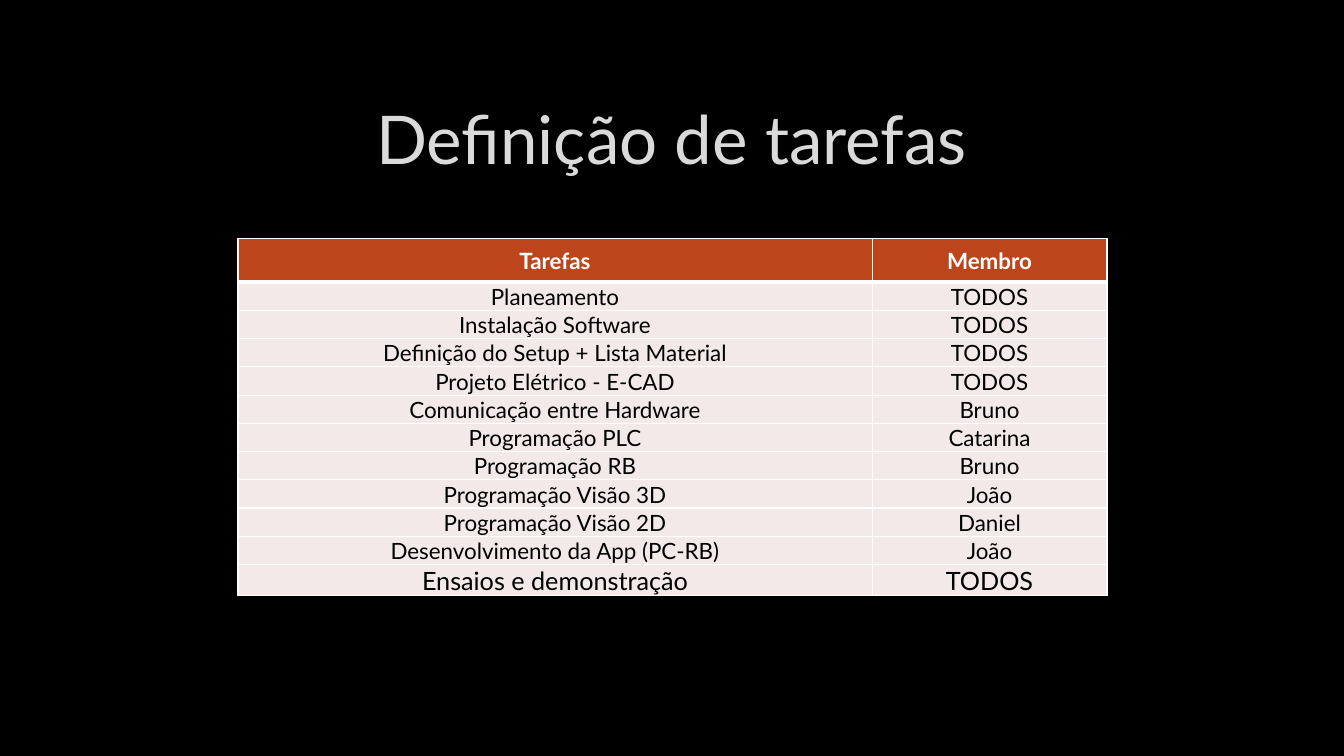
from lxml import etree
from pptx import Presentation
from pptx.dml.color import RGBColor
from pptx.enum import text
from pptx.oxml import ns
from pptx.util import Inches, Pt

FONT = "Lato"
COLORS = {
    "background": "000000",
    "title": "DADADA",
    "header": "BC451B",
    "body": "F3E9E8",
    "white": "FFFFFF",
    "black": "000000",
}
HEADER = ("Tarefas", "Membro")
TASKS = [
    ("Planeamento", "TODOS"),
    ("Instalação Software", "TODOS"),
    ("Definição do Setup + Lista Material", "TODOS"),
    ("Projeto Elétrico - E-CAD", "TODOS"),
    ("Comunicação entre Hardware", "Bruno"),
    ("Programação PLC", "Catarina"),
    ("Programação RB", "Bruno"),
    ("Programação Visão 3D", "João"),
    ("Programação Visão 2D", "Daniel"),
    ("Desenvolvimento da App (PC-RB)", "João"),
    ("Ensaios e demonstração", "TODOS"),
]


def rgb(name):
    return RGBColor.from_string(COLORS[name])


def write(tf, content, size=16, color="black", bold=False):
    p = tf.paragraphs[0]
    p.alignment = text.PP_ALIGN.CENTER
    r = p.add_run()
    r.text = content
    r.font.name = FONT
    r.font.size = Pt(size)
    r.font.bold = bold
    r.font.color.rgb = rgb(color)


def add_title(s, content):
    sp = s.shapes.add_textbox(Inches(1.5), Inches(0.62), Inches(10.32), Inches(1.19))
    tf = sp.text_frame
    tf.word_wrap = True
    tf.vertical_anchor = text.MSO_ANCHOR.BOTTOM
    write(tf, content, size=48, color="title")


def set_borders(cell, **widths):
    tc_pr = cell._tc.get_or_add_tcPr()
    for side in "LRTB":
        width = Pt(widths.get(side, 1))
        ln = etree.SubElement(tc_pr, ns.qn(f"a:ln{side}"), w=str(width))
        fill = etree.SubElement(ln, ns.qn("a:solidFill"))
        etree.SubElement(fill, ns.qn("a:srgbClr"), val=COLORS["white"])


def format_cell(cell, content, fill, borders, **font):
    cell.margin_left = cell.margin_right = cell.margin_top = Inches(0.01)
    cell.margin_bottom = 0
    cell.vertical_anchor = text.MSO_ANCHOR.MIDDLE
    set_borders(cell, **borders)
    cell.fill.solid()
    cell.fill.fore_color.rgb = rgb(fill)
    write(cell.text_frame, content, **font)


def add_task_table(s):
    rows = [HEADER] + TASKS
    last = len(rows) - 1
    table = s.shapes.add_table(
        len(rows), len(HEADER), Inches(2.36), Inches(2.37), Inches(8.62), Inches(3.51)
    ).table
    for column, width in zip(table.columns, (6.29, 2.33)):
        column.width = Inches(width)
    for i, row in enumerate(rows):
        table.rows[i].height = Inches(0.28 if i else 0.43)
        if i == 0:
            style = dict(fill="header", borders={"B": 3}, color="white", bold=True)
        else:
            style = dict(
                fill="body",
                borders={"T": 3 if i == 1 else 1},
                size=18 if i == last else 16,
            )
        for j, content in enumerate(row):
            format_cell(table.cell(i, j), content, **style)


def main():
    prs = Presentation()
    prs.slide_width = Inches(13.33)
    prs.slide_height = Inches(7.5)
    s = prs.slides.add_slide(prs.slide_layouts[6])
    s.background.fill.solid()
    s.background.fill.fore_color.rgb = rgb("background")
    add_title(s, "Definição de tarefas")
    add_task_table(s)
    prs.save("out.pptx")


if __name__ == "__main__":
    main()
